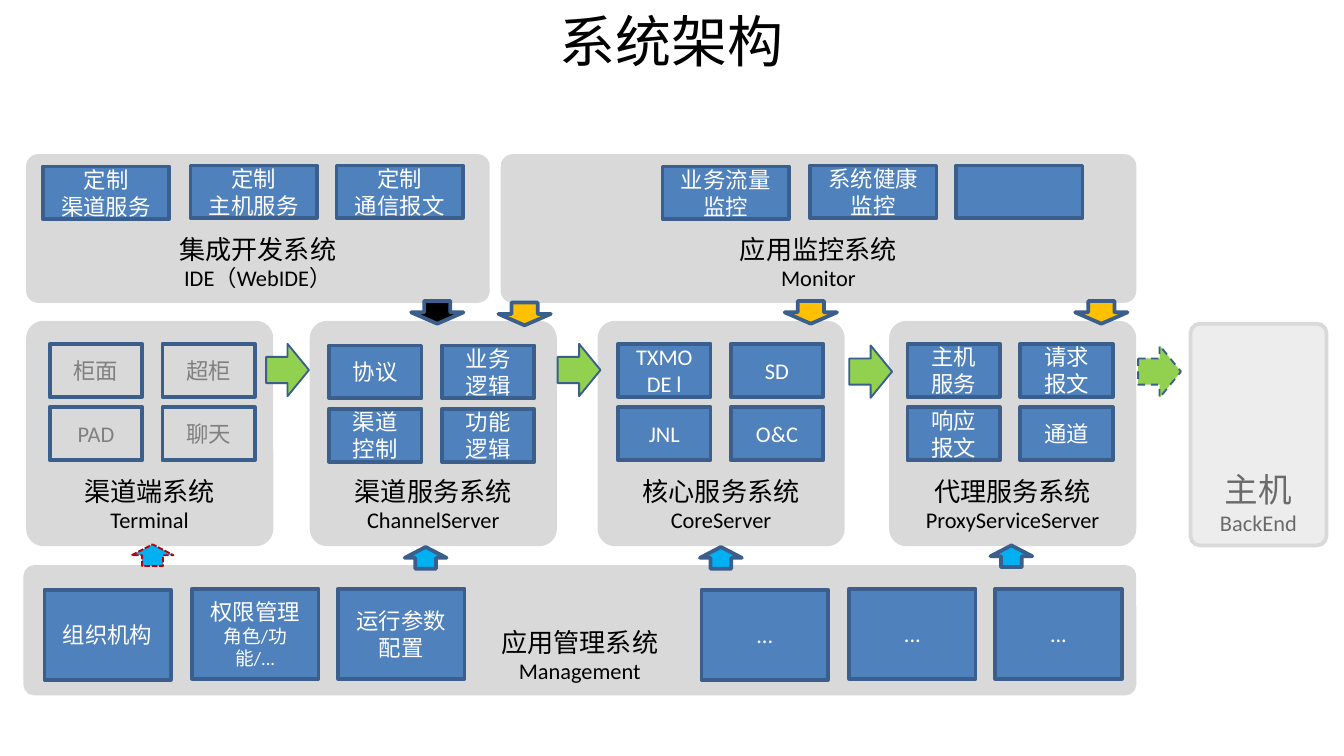
from dataclasses import dataclass

from lxml import etree
from pptx import Presentation
from pptx.dml.color import RGBColor
from pptx.enum.dml import MSO_LINE
from pptx.enum.shapes import MSO_SHAPE
from pptx.enum.text import MSO_ANCHOR, PP_ALIGN
from pptx.oxml.ns import qn
from pptx.util import Cm, Pt

RECT, ROUND = MSO_SHAPE.RECTANGLE, MSO_SHAPE.ROUNDED_RECTANGLE
RIGHT, DOWN, UP = MSO_SHAPE.RIGHT_ARROW, MSO_SHAPE.DOWN_ARROW, MSO_SHAPE.UP_ARROW
DASH, SYS_DASH = MSO_LINE.DASH, MSO_LINE.SQUARE_DOT
MIDDLE, BOTTOM = MSO_ANCHOR.MIDDLE, MSO_ANCHOR.BOTTOM
CENTER = PP_ALIGN.CENTER

LATIN, CJK = "Calibri", "Noto Sans CJK SC"
BLACK, WHITE, GREY, MUTED = "000000", "FFFFFF", "D9D9D9", "808080"
BLUE, NAVY, SKY, RED = "4F81BD", "3A5F8C", "00B0F0", "C00000"
GREEN, AMBER = "92D050", "FFC000"


# All lengths below are centimetres
@dataclass
class Panel:
    x: float
    y: float
    w: float
    h: float
    title: str
    subtitle: str
    size: int = 14
    fill_alpha: int = 100
    text_alpha: int = 100


@dataclass
class TileGrid:
    x: float
    y: float
    labels: tuple[str, ...]  # row by row, two columns
    fill: str = BLUE
    color: str = WHITE


@dataclass
class TileRow:
    x: float
    y: float
    h: float
    labels: tuple[str, ...]


@dataclass
class Arrow:
    kind: int
    x: float
    y: float
    fill: str
    line: str = NAVY
    width: int = 2
    dash: int | None = None


PANELS = [
    Panel(0.53, 2.95, 8.69, 2.74, "集成开发系统", "IDE（WebIDE）"),
    Panel(9.5, 2.95, 11.94, 2.74, "应用监控系统", "Monitor"),
    Panel(0.53, 6.1, 4.6, 4.19, "渠道端系统", "Terminal"),
    Panel(5.89, 6.1, 4.6, 4.19, "渠道服务系统", "ChannelServer"),
    Panel(11.33, 6.1, 4.6, 4.19, "核心服务系统", "CoreServer"),
    Panel(16.84, 6.1, 4.6, 4.19, "代理服务系统", "ProxyServiceServer"),
    Panel(22.5, 6.12, 2.57, 4.19, "主机", "BackEnd", 18, 46, 55),
    Panel(0.48, 10.72, 20.96, 2.39, "应用管理系统", "Management"),
]
GRIDS = [
    TileGrid(0.94, 6.5, ("柜面", "超柜", "PAD", "聊天"), GREY, MUTED),
    TileGrid(6.22, 6.53, ("协议", "业务逻辑", "渠道控制", "功能逻辑")),
    TileGrid(11.68, 6.5, ("TXMODE l", "SD", "JNL", "O&C")),
    TileGrid(17.15, 6.5, ("主机服务", "请求报文", "响应报文", "通道")),
]
ROWS = [
    TileRow(0.81, 3.15, 0.99, ("定制\n渠道服务", "定制\n主机服务", "定制\n通信报文")),
    TileRow(12.52, 3.15, 0.99, ("业务流量监控", "系统健康监控", "")),
    TileRow(0.84, 11.15, 1.7, ("组织机构", "权限管理\n角色/功能/...", "运行参数配置")),
    TileRow(13.26, 11.15, 1.7, ("...", "...", "...")),
]
ARROWS = [
    Arrow(RIGHT, 5.03, 6.5, GREEN, width=1),
    Arrow(RIGHT, 10.54, 6.5, GREEN, width=1),
    Arrow(RIGHT, 16.05, 6.53, GREEN, width=1),
    Arrow(RIGHT, 21.51, 6.53, GREEN, width=1, dash=DASH),
    Arrow(DOWN, 7.77, 5.69, BLACK),
    Arrow(DOWN, 9.42, 5.72, AMBER),
    Arrow(DOWN, 14.83, 5.69, AMBER),
    Arrow(DOWN, 20.32, 5.69, AMBER),
    Arrow(UP, 2.49, 10.29, SKY, RED, 1, SYS_DASH),
    Arrow(UP, 7.65, 10.34, SKY),
    Arrow(UP, 13.23, 10.34, SKY),
    Arrow(UP, 18.72, 10.31, SKY),
]
ARROW_SIZE = {RIGHT: (0.81, 0.99), DOWN: (0.99, 0.43), UP: (0.79, 0.41)}


def set_color(fill, color: str, alpha: int = 100) -> None:
    """Apply a solid hex colour with an opacity in percent."""
    fill.solid()
    fill.fore_color.rgb = RGBColor.from_string(color)
    if alpha < 100:
        clr = fill._xPr.find(qn("a:solidFill"))[0]
        etree.SubElement(clr, qn("a:alpha"), val=str(alpha * 1000))


def add_text(sp, text: str, *, sizes=(12,), color=WHITE, alpha=100,
             anchor=MIDDLE, font=LATIN) -> None:
    """Write one paragraph per line; the last size serves any further lines."""
    tf = sp.text_frame
    tf.word_wrap = True
    tf.vertical_anchor = anchor
    for i, line in enumerate(text.split("\n")):
        p = tf.add_paragraph() if i else tf.paragraphs[0]
        p.alignment = CENTER
        r = p.add_run()
        r.text = line
        r.font.size = Pt(sizes[min(i, len(sizes) - 1)])
        r.font.name = font
        set_color(r.font.fill, color, alpha)
        etree.SubElement(r.font._element, qn("a:ea"), typeface=CJK)


def add_box(s, kind: int, x: float, y: float, w: float, h: float, fill: str,
            line: str = NAVY, width: int = 2, alpha: int = 100):
    sp = s.shapes.add_shape(kind, Cm(x), Cm(y), Cm(w), Cm(h))
    sp.shadow.inherit = False
    set_color(sp.fill, fill, alpha)
    set_color(sp.line.fill, line)
    sp.line.width = Pt(width)
    return sp


def draw_panel(s, panel: Panel) -> None:
    sp = add_box(s, ROUND, panel.x, panel.y, panel.w, panel.h, GREY, GREY,
                 alpha=panel.fill_alpha)
    sp.adjustments[0] = 0.07
    add_text(sp, f"{panel.title}\n{panel.subtitle}", sizes=(panel.size, 12),
             color=BLACK, alpha=panel.text_alpha, anchor=BOTTOM)


def draw_grid(s, grid: TileGrid) -> None:
    for i, label in enumerate(grid.labels):
        row, col = divmod(i, 2)
        sp = add_box(s, RECT, grid.x + col * 2.13, grid.y + row * 1.2,
                     1.75, 1, grid.fill)
        add_text(sp, label, color=grid.color)


def draw_row(s, row: TileRow) -> None:
    for label, dx, dy in zip(row.labels, (0, 2.79, 5.55), (0, -0.02, -0.02)):
        sp = add_box(s, RECT, row.x + dx, row.y + dy, 2.39, row.h, BLUE)
        if label:
            add_text(sp, label, sizes=(12, 10) if "/" in label else (12,))


def draw_arrow(s, arrow: Arrow) -> None:
    sp = add_box(s, arrow.kind, arrow.x, arrow.y, *ARROW_SIZE[arrow.kind],
                 arrow.fill, arrow.line, arrow.width)
    if arrow.dash:
        sp.line.dash_style = arrow.dash


def main() -> None:
    prs = Presentation()
    prs.slide_width, prs.slide_height = Cm(25.4), Cm(14.29)
    s = prs.slides.add_slide(prs.slide_layouts[6])

    # Title
    title = s.shapes.add_textbox(0, Cm(0.05), prs.slide_width, Cm(1.4))
    add_text(title, "系统架构", sizes=(30,), color=BLACK, font=CJK)

    # Systems, their modules, and the flows between them
    for draw, items in ((draw_panel, PANELS), (draw_grid, GRIDS),
                        (draw_row, ROWS), (draw_arrow, ARROWS)):
        for item in items:
            draw(s, item)

    prs.save("out.pptx")


if __name__ == "__main__":
    main()
